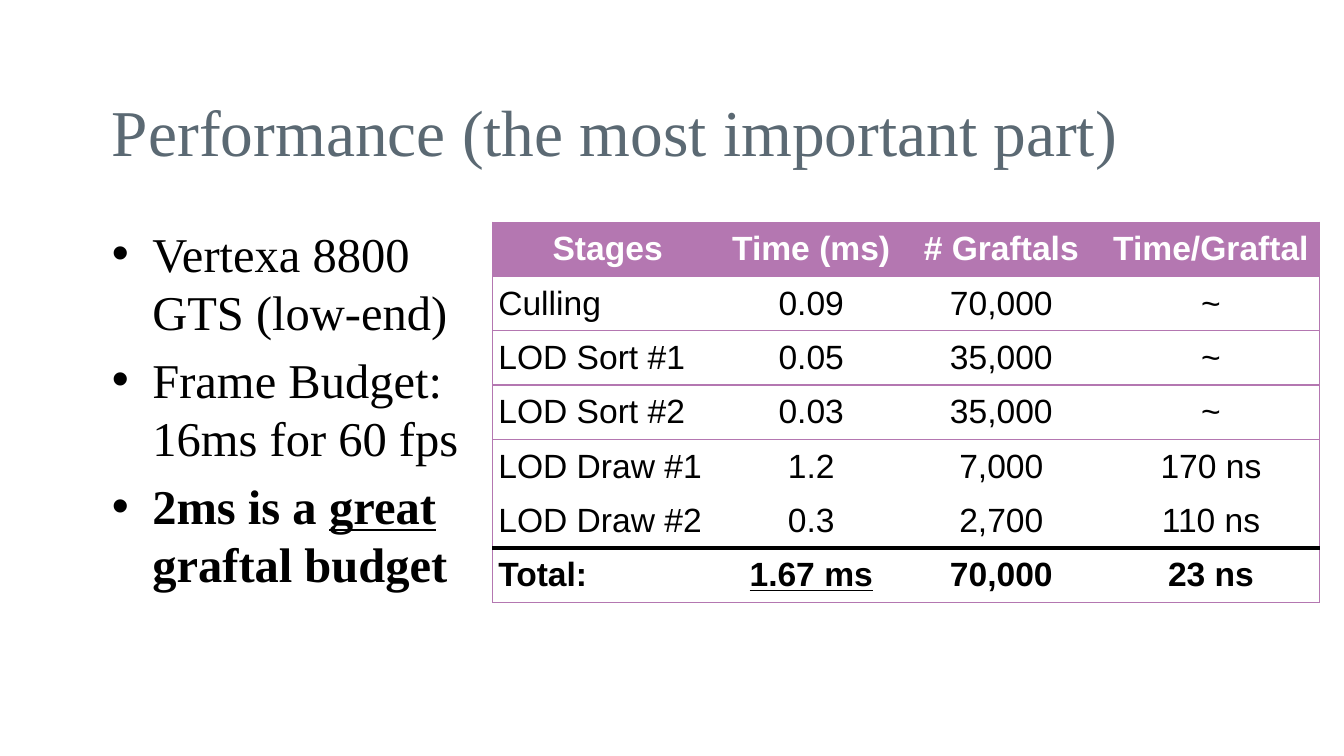
from lxml.etree import SubElement
from pptx import Presentation
from pptx.dml.color import RGBColor
from pptx.enum.text import MSO_ANCHOR, PP_ALIGN
from pptx.oxml.ns import qn
from pptx.util import Pt

PURPLE, BLACK, WHITE, SLATE = "B477B1", "000000", "FFFFFF", "5B6973"
SERIF, SANS = "Times New Roman", "Arial"
THIN, THICK = (PURPLE, 0.75), (BLACK, 2.25)
BULLETS = [
    [("Vertexa 8800 GTS (low-end)", {})],
    [("Frame Budget:", {}), None, ("16ms for 60 fps", {})],
    [("2ms is a ", {"bold": True}), ("great", {"bold": True, "underline": True}),
     (" graftal budget ", {"bold": True})],
]
STAGES = [
    ("Stages", "Time (ms)", "# Graftals", "Time/Graftal"),
    ("Culling", "0.09", "70,000", "~"),
    ("LOD Sort #1", "0.05", "35,000", "~"),
    ("LOD Sort #2", "0.03", "35,000", "~"),
    ("LOD Draw #1", "1.2", "7,000", "170 ns"),
    ("LOD Draw #2", "0.3", "2,700", "110 ns"),
    ("Total:", "1.67 ms", "70,000", "23 ns"),
]
RULES = [THIN, THIN, THIN, THIN, THIN, None, THICK, THIN]
COLUMN_WIDTHS = [123.1, 95, 108.7, 116]


def color(value):
    """Turn a hex string into a colour."""
    return RGBColor.from_string(value)


def assign(target, values):
    """Set each named attribute on the target."""
    for name, value in values.items():
        setattr(target, name, value)


def add_span(para, text, font, size, ink, **style):
    """Add a formatted run to a paragraph."""
    span = para.add_run()
    span.text = text
    assign(span.font, {"name": font, "size": Pt(size), **style})
    span.font.color.rgb = color(ink)


def add_frame(page, box, anchor):
    """Add a wrapping text box and return its text frame."""
    frame = page.shapes.add_textbox(*map(Pt, box)).text_frame
    assign(frame, {"word_wrap": True, "vertical_anchor": anchor,
                   "margin_left": Pt(6), "margin_right": Pt(6),
                   "margin_top": Pt(3), "margin_bottom": Pt(3)})
    return frame


def add_title(page, box, text):
    """Place the slide title in its box."""
    frame = add_frame(page, box, MSO_ANCHOR.MIDDLE)
    add_span(frame.paragraphs[0], text, SERIF, 35, SLATE)


def add_bullets(page, box, items):
    """Place the bulleted list in its box."""
    frame = add_frame(page, box, MSO_ANCHOR.TOP)
    for index, item in enumerate(items):
        para = frame.add_paragraph() if index else frame.paragraphs[0]
        para.space_before = Pt(5.2)
        properties = para._p.get_or_add_pPr()
        properties.set("marL", str(Pt(21.6)))
        properties.set("indent", str(-Pt(21.6)))
        SubElement(properties, qn("a:buFont"), typeface=SANS)
        SubElement(properties, qn("a:buChar"), char="•")
        for part in item:
            if part is None:
                para.add_line_break()
            else:
                add_span(para, part[0], SERIF, 26, BLACK, **part[1])


def add_edge(cell, side, rule):
    """Draw one cell border, or clear it when there is no rule."""
    edge = SubElement(cell._tc.get_or_add_tcPr(), qn(f"a:ln{side}"))
    if rule is None:
        SubElement(edge, qn("a:noFill"))
        return
    ink, width = rule
    edge.set("w", str(Pt(width)))
    SubElement(SubElement(edge, qn("a:solidFill")), qn("a:srgbClr"), val=ink)


def fill_cell(cell, text, row, column):
    """Write, border and fill one cell by its place in the table."""
    header, total = row == 0, row == len(STAGES) - 1
    assign(cell, {"vertical_anchor": MSO_ANCHOR.MIDDLE,
                  "margin_left": Pt(3), "margin_right": Pt(3),
                  "margin_top": Pt(1.5), "margin_bottom": Pt(1.5)})
    edges = {"L": THIN if column == 0 else None,
             "R": THIN if column == len(COLUMN_WIDTHS) - 1 else None,
             "T": RULES[row], "B": RULES[row + 1]}
    for side, rule in edges.items():
        add_edge(cell, side, rule)
    if header:
        cell.fill.solid()
        cell.fill.fore_color.rgb = color(PURPLE)
    else:
        cell.fill.background()
    para = cell.text_frame.paragraphs[0]
    para.alignment = PP_ALIGN.CENTER if header or column else PP_ALIGN.LEFT
    add_span(para, text, SANS, 18, WHITE if header else BLACK,
             bold=header or total, underline=total and column == 1)


def add_stage_table(page, box):
    """Place the table of stage timings in its box."""
    table = page.shapes.add_table(len(STAGES), len(COLUMN_WIDTHS), *map(Pt, box)).table
    table.horz_banding = False
    for column, width in zip(table.columns, COLUMN_WIDTHS):
        column.width = Pt(width)
    for row, texts in enumerate(STAGES):
        table.rows[row].height = Pt(box[3] / len(STAGES))
        for column, text in enumerate(texts):
            fill_cell(table.cell(row, column), text, row, column)


def build():
    """Build and save the slide."""
    deck = Presentation()
    assign(deck, {"slide_width": Pt(720), "slide_height": Pt(405)})
    page = deck.slides.add_slide(deck.slide_layouts[6])
    add_title(page, (54, 36, 612, 67.5), "Performance (the most important part)")
    add_bullets(page, (54, 117, 216, 243), BULLETS)
    add_stage_table(page, (264, 119, 442.8, 203.7))
    deck.save("out.pptx")


build()
